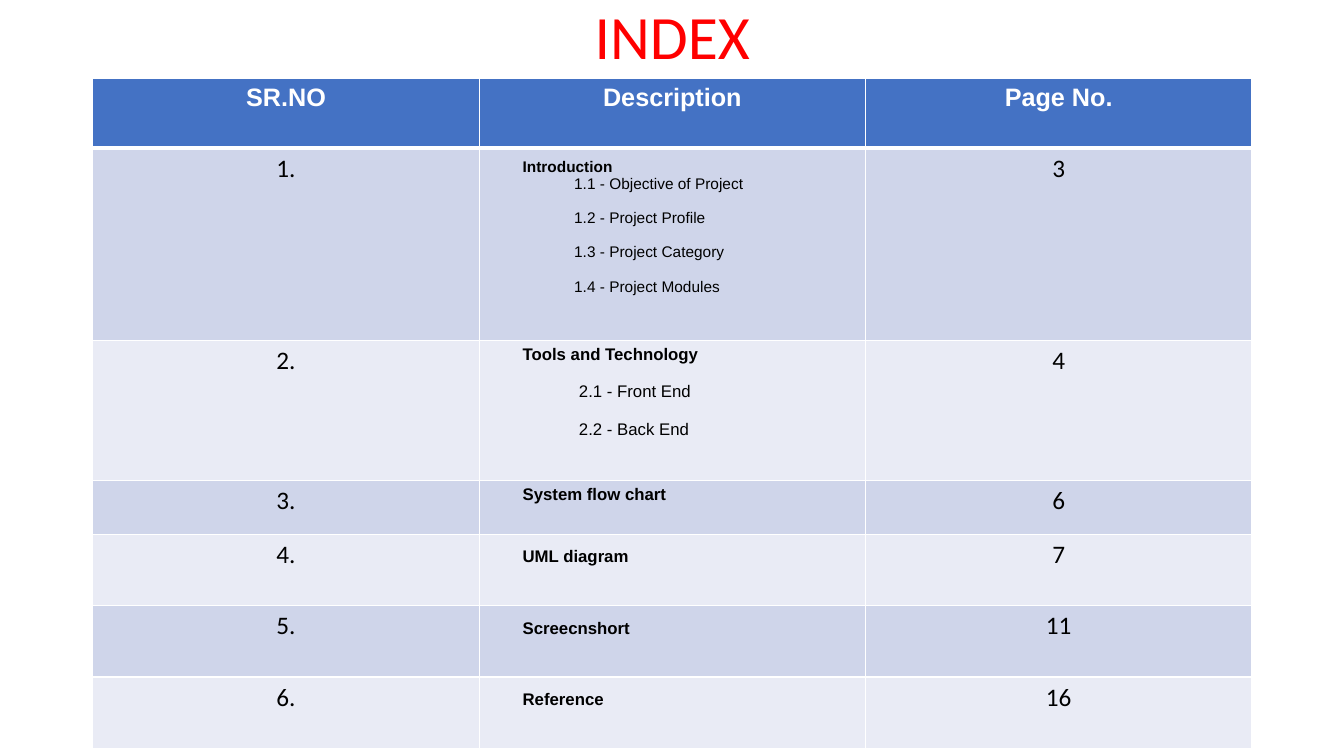
"""Builds the project report index slide: a red heading above a banded table of contents."""
from dataclasses import dataclass

from lxml import etree
from pptx import Presentation, table as tables
from pptx.dml.color import RGBColor
from pptx.enum import text as alignment
from pptx.oxml import ns
from pptx.slide import Slide
from pptx.text import text as texts
from pptx.util import Cm, Length, Pt


@dataclass(frozen=True)
class Theme:
    """Colours, fonts and type sizes of the slide."""
    red: str = "FF0000"
    blue: str = "4472C4"
    white: str = "FFFFFF"
    black: str = "000000"
    bands: tuple[str, str] = ("CFD5EA", "E9EBF5")
    sans: str = "Arial"
    numeric: str = "Calibri"
    heading: int = 44
    column_title: int = 18
    number: int = 18
    section: int = 12
    small_section: int = 11
    rule: int = 1
    header_rule: int = 3


@dataclass(frozen=True)
class Section:
    """One section of the report and the way its row is set."""
    title: str
    page: int
    height: Length
    topics: tuple[str, ...] = ()
    size: int = Theme.section
    topic_indent: Length = Cm(2.26)
    topic_gaps: tuple[float, ...] = ()
    top: Length = Cm(0.13)


THEME = Theme()
CENTER = alignment.PP_ALIGN.CENTER
LEFT, TOP, WIDTH = Cm(2.34), Cm(1.98), Cm(29.21)
HEADER_HEIGHT = Cm(1.75)
SECTION_INDENT = Cm(0.84)
COLUMN_TITLES = ("SR.NO", "Description", "Page No.")
LOW = Cm(0.34)
SECTIONS = (
    Section("Introduction", 3, Cm(4.85),
            ("1.1 - Objective of Project", "1.2 - Project Profile",
             "1.3 - Project Category", "1.4 - Project Modules"),
            Theme.small_section, Cm(2.14), (0.1, 12, 12.5, 12.5)),
    Section("Tools and Technology", 4, Cm(3.53),
            ("2.1 - Front End", "2.2 - Back End"), topic_gaps=(13, 13.5)),
    Section("System flow chart", 6, Cm(1.35)),
    Section("UML diagram", 7, Cm(1.8), top=LOW),
    Section("Screecnshort", 11, Cm(1.8), top=LOW),
    Section("Reference", 16, Cm(1.8), top=LOW),
)


def style_runs(paragraph: texts._Paragraph, font: str, size: int, color: str,
               bold: bool = False) -> None:
    """Apply one font to every run of a paragraph."""
    for run in paragraph.runs:
        run.font.name = font
        run.font.size = Pt(size)
        run.font.bold = bold
        run.font.color.rgb = RGBColor.from_string(color)


def dress_cell(cell: tables._Cell, fill: str, top_rule: int, bottom_rule: int) -> None:
    """Give a cell its white borders and its fill."""
    properties = cell._tc.get_or_add_tcPr()
    rules = {"L": THEME.rule, "R": THEME.rule, "T": top_rule, "B": bottom_rule}
    for side, width in rules.items():
        line = etree.SubElement(properties, ns.qn(f"a:ln{side}"), w=str(Pt(width)))
        paint = etree.SubElement(line, ns.qn("a:solidFill"))
        etree.SubElement(paint, ns.qn("a:srgbClr"), val=THEME.white)
    cell.fill.solid()
    cell.fill.fore_color.rgb = RGBColor.from_string(fill)


def write_centered(cell: tables._Cell, wording: str, font: str, size: int, color: str,
                   bold: bool = False) -> None:
    """Write one centred line into a cell."""
    cell.text_frame.text = wording
    line = cell.text_frame.paragraphs[0]
    line.alignment = CENTER
    style_runs(line, font, size, color, bold)


def write_section(cell: tables._Cell, section: Section) -> None:
    """Write a bold section title with its indented topics."""
    cell.margin_top = section.top
    cell.text_frame.text = "\n".join((section.title, *section.topics))
    title, *topics = cell.text_frame.paragraphs
    title._p.get_or_add_pPr().set("marL", str(SECTION_INDENT))
    style_runs(title, THEME.sans, section.size, THEME.black, True)
    if section.size == THEME.small_section:
        title.line_spacing = Pt(15.8)
    for topic, gap in zip(topics, section.topic_gaps):
        topic._p.get_or_add_pPr().set("marL", str(section.topic_indent))
        topic.space_before = Pt(gap)
        style_runs(topic, THEME.sans, section.size, THEME.black)


def add_heading(slide: Slide) -> None:
    """Place the red heading above the table."""
    frame = slide.shapes.add_textbox(LEFT, 0, WIDTH, TOP).text_frame
    frame.word_wrap = True
    frame.vertical_anchor = alignment.MSO_ANCHOR.MIDDLE
    frame.text = "INDEX"
    heading = frame.paragraphs[0]
    heading.alignment = CENTER
    heading.line_spacing = 0.9
    style_runs(heading, THEME.numeric, THEME.heading, THEME.red)


def add_index(slide: Slide) -> None:
    """Place the table of sections and page numbers."""
    heights = (HEADER_HEIGHT, *(section.height for section in SECTIONS))
    index = slide.shapes.add_table(len(heights), len(COLUMN_TITLES), LEFT, TOP,
                                   WIDTH, sum(heights)).table
    for row, height in zip(index.rows, heights):
        row.height = height
    for column, title in enumerate(COLUMN_TITLES):
        header = index.cell(0, column)
        dress_cell(header, THEME.blue, THEME.rule, THEME.header_rule)
        write_centered(header, title, THEME.sans, THEME.column_title, THEME.white, True)
    for number, section in enumerate(SECTIONS, 1):
        serial, description, page = index.rows[number].cells
        top_rule = THEME.header_rule if number == 1 else THEME.rule
        for cell in (serial, description, page):
            dress_cell(cell, THEME.bands[(number - 1) % 2], top_rule, THEME.rule)
        for cell, wording in ((serial, f"{number}."), (page, str(section.page))):
            write_centered(cell, wording, THEME.numeric, THEME.number, THEME.black)
        write_section(description, section)


def main() -> None:
    """Build and save the slide."""
    deck = Presentation()
    deck.slide_width, deck.slide_height = Cm(33.87), Cm(19.05)
    slide = deck.slides.add_slide(deck.slide_layouts[6])
    add_heading(slide)
    add_index(slide)
    deck.save("out.pptx")


if __name__ == "__main__":
    main()
